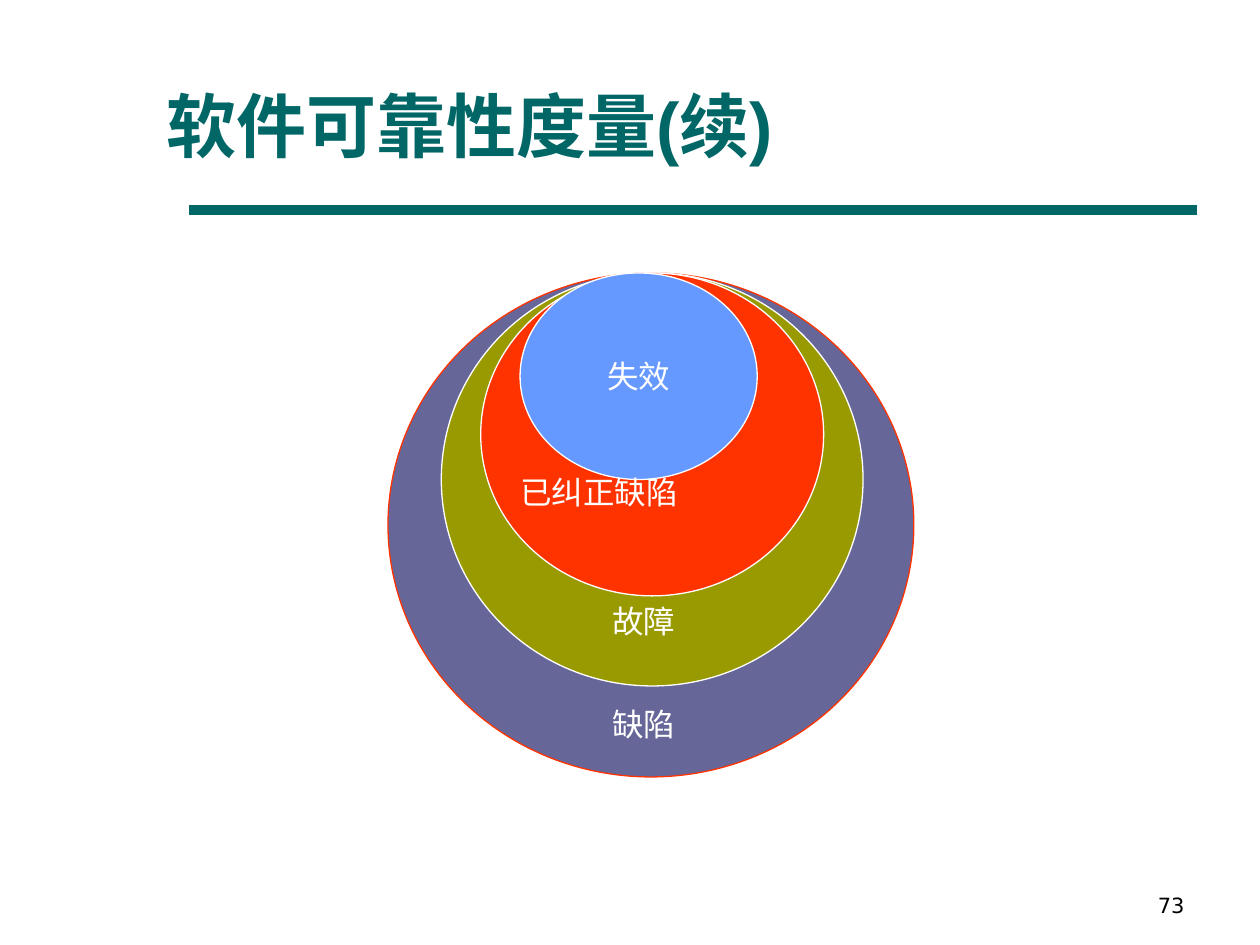
import pptx
import pptx.dml.color
import pptx.enum.shapes
import pptx.enum.text
import pptx.oxml
import pptx.util
from dataclasses import dataclass

Pt = pptx.util.Pt
ALIGN = pptx.enum.text.PP_ALIGN
ANCHOR = pptx.enum.text.MSO_ANCHOR
EFFECTS = '<a:effectLst xmlns:a="http://schemas.openxmlformats.org/drawingml/2006/main"/>'


@dataclass(frozen=True)
class Theme:
    """Colours, fonts and sizes of the slide."""
    teal: str = "006666"
    black: str = "000000"
    white: str = "FFFFFF"
    slate: str = "666699"
    olive: str = "999900"
    red: str = "FF3300"
    blue: str = "6699FF"
    font: str = "Arial"
    number_font: str = "DejaVu Sans"
    title_size: float = 40
    label_size: float = 18
    number_size: float = 12
    outline: float = 0.75
    rule: float = 6


THEME = Theme()


def rgb(value):
    """Turn a hex string into a colour."""
    return pptx.dml.color.RGBColor.from_string(value)


def apply(target, formats):
    """Set each format value on the target."""
    for name, value in formats.items():
        setattr(target, name, value)


def place(shape, box):
    """Move a shape to a box given in points."""
    apply(shape, dict(zip(("left", "top", "width", "height"), map(Pt, box))))


def write(shape, text, size, color, font=THEME.font, bold=False,
          align=ALIGN.LEFT, anchor=ANCHOR.TOP):
    """Put one formatted paragraph into a shape."""
    frame = shape.text_frame
    apply(frame, {"text": text, "word_wrap": True, "vertical_anchor": anchor,
                  "auto_size": pptx.enum.text.MSO_AUTO_SIZE.NONE,
                  "margin_left": Pt(7.2), "margin_right": Pt(7.2),
                  "margin_top": Pt(3.6), "margin_bottom": Pt(3.6)})
    paragraph = frame.paragraphs[0]
    paragraph.alignment = align
    run_font = paragraph.runs[0].font
    apply(run_font, {"name": font, "size": Pt(size), "bold": bold})
    run_font.color.rgb = rgb(color)


def add_label(slide, box, text, size, color, **formats):
    """Add a text box at a box."""
    label = slide.shapes.add_textbox(*map(Pt, box))
    write(label, text, size, color, **formats)


def add_heading(slide, box):
    """Place the title and the rule beneath it."""
    left, top, width, height = box
    title = slide.shapes.title
    place(title, box)
    write(title, "软件可靠性度量(续)", THEME.title_size, THEME.teal,
          bold=True, anchor=ANCHOR.BOTTOM)
    rule_left, rule_top = left + 20, top + height + 21.5
    rule = slide.shapes.add_connector(
        pptx.enum.shapes.MSO_CONNECTOR.STRAIGHT, Pt(rule_left), Pt(rule_top),
        Pt(rule_left + 576), Pt(rule_top))
    rule.line.color.rgb = rgb(THEME.teal)
    rule.line.width = Pt(THEME.rule)
    rule._element.spPr.append(pptx.oxml.parse_xml(EFFECTS))


def add_nested_sets(slide, box):
    """Nest the defect sets, all touching the top of the box."""
    left, top, width, height = box
    rings = [
        (0, width, height, THEME.slate, THEME.red),
        (30.5, 241, 236, THEME.olive, THEME.white),
        (53, 196, 184.5, THEME.red, THEME.white),
        (75.5, 135.5, 118, THEME.blue, THEME.white),
    ]
    for inset, ring_width, ring_height, fill, outline in rings:
        ring = slide.shapes.add_shape(
            pptx.enum.shapes.MSO_SHAPE.OVAL,
            *map(Pt, (left + inset, top, ring_width, ring_height)))
        ring.shadow.inherit = False
        ring.fill.solid()
        ring.fill.fore_color.rgb = rgb(fill)
        ring.line.color.rgb = rgb(outline)
        ring.line.width = Pt(THEME.outline)
    write(ring, "失效", THEME.label_size, THEME.white,
          align=ALIGN.CENTER, anchor=ANCHOR.MIDDLE)
    labels = [
        ("缺陷", 121, 243.5, 67),
        ("故障", 121, 184.5, 67),
        ("已纠正缺陷", 68.5, 110.5, 162.5),
    ]
    for text, inset, drop, label_width in labels:
        add_label(slide, (left + inset, top + drop, label_width, 37.5), text,
                  THEME.label_size, THEME.white, align=ALIGN.JUSTIFY)


def add_page_number(slide, box):
    """Place the page number at the foot."""
    add_label(slide, box, "73", THEME.number_size, THEME.black,
              font=THEME.number_font, align=ALIGN.RIGHT, anchor=ANCHOR.BOTTOM)


def main():
    """Build and save the slide."""
    deck = pptx.Presentation()
    apply(deck, {"slide_width": Pt(720), "slide_height": Pt(540)})
    slide = deck.slides.add_slide(deck.slide_layouts.get_by_name("Title Only"))
    add_heading(slide, (88, 8.5, 612, 90))
    add_nested_sets(slide, (221.7, 156, 300.5, 288))
    add_page_number(slide, (516, 492, 168, 36))
    deck.save("out.pptx")


if __name__ == "__main__":
    main()
